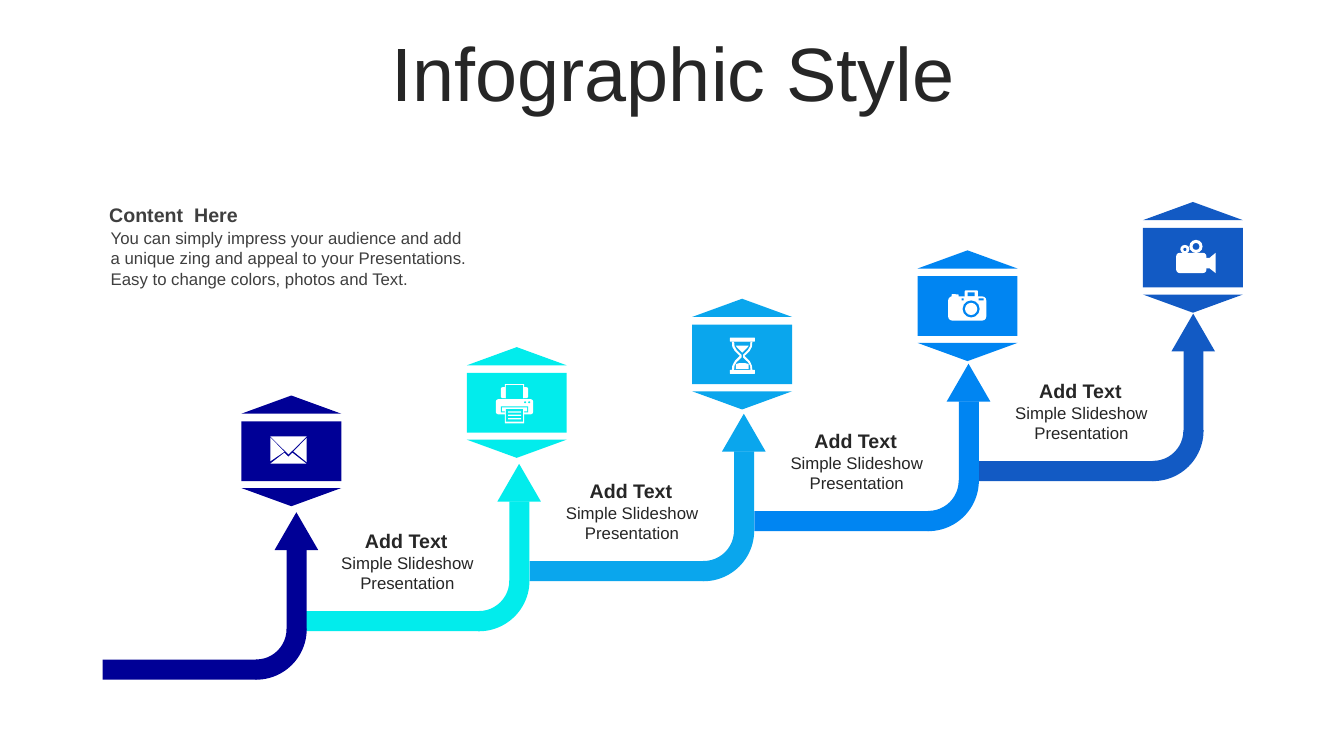
from dataclasses import dataclass

import pptx
import pptx.dml.color
import pptx.enum.shapes
import pptx.enum.text
import pptx.util

Pt = pptx.util.Pt
Preset = pptx.enum.shapes.MSO_SHAPE
Align = pptx.enum.text.PP_ALIGN
Anchor = pptx.enum.text.MSO_ANCHOR
RECT, ROUND, OVAL = Preset.RECTANGLE, Preset.ROUNDED_RECTANGLE, Preset.OVAL

FONT, WHITE, DARK, GREY = "Arial", "FFFFFF", "262626", "3F3F3F"


@dataclass
class Part:
    """A preset piece of an icon, placed from the badge centre."""
    preset: int
    x: float
    y: float
    width: float
    height: float
    hole: bool = False


@dataclass
class Outline:
    """A polygon piece of an icon, placed from the badge centre."""
    points: list[tuple[float, float]]
    hole: bool = False


@dataclass
class Step:
    """One stage of the staircase: its colour, icon and arrow."""
    color: str
    icon: list[Part | Outline]
    bend_left: float
    bend_top: float
    tail: float


ENVELOPE = [
    Outline([(-15, -10.5), (11, -10.5), (-2, 2.3)]),
    Outline([(-15, -9.8), (-5, 0.4), (-15, 7.2)]),
    Outline([(11, -9.5), (11, 7.9), (1.5, 0.2)]),
    Outline([(-2.1, 3.9), (0.8, 1.1), (10.8, 8.9), (-15, 8.9), (-5, 1.1)]),
]
PRINTER = [
    Part(ROUND, -11.3, -11.2, 19.5, 7.9),
    Part(RECT, -8.4, -13.4, 13.7, 10.1),
    Part(RECT, -7.7, -12.6, 12.2, 9.9, True),
    Part(ROUND, -14.9, -2.6, 26.7, 10.8),
    Part(RECT, -11.3, 2.5, 19.5, 4.3, True),
    Part(RECT, -10.5, 3.2, 18, 2.9),
    Part(RECT, -8.4, 4.6, 13.7, 10.1),
    Part(RECT, -7.7, 4.6, 12.2, 8.9, True),
    *[Part(RECT, -6.2, y, 9.4, 0.9) for y in (6.1, 8.5, 10.9)],
    *[Part(OVAL, x, -1.1, 1.4, 1.4, True) for x in (5.3, 8.2)],
]
HOURGLASS = [
    Outline([(-7.3, -9.1), (7.3, -9.1), (7, -5.5), (5.4, -2.4), (1.8, 1),
             (5.4, 4.6), (7, 8), (7.3, 11), (-7.3, 11), (-7, 8),
             (-5.2, 4.6), (-1.6, 1), (-5.2, -2.4), (-7, -5.5)]),
    Outline([(-5.7, -9.1), (5.9, -9.1), (5.6, -6), (4.1, -3.4), (0.5, 0.2),
             (0.5, 2.2), (4.1, 5.6), (5.6, 8), (5.9, 11), (-5.7, 11),
             (-5.4, 8), (-3.9, 5.6), (-0.3, 2.2), (-0.3, 0.2),
             (-3.9, -3.4), (-5.4, -6)], True),
    Outline([(-4.5, -6.2), (4.7, -6.2), (3.4, -4.5), (0.1, -1.2), (-3.2, -4.5)]),
    Outline([(-4.5, 6.9), (-2, 6.2), (2.2, 6.2), (4.7, 6.9), (4.7, 10.3), (-4.5, 10.3)]),
    *[Part(ROUND, -8.8, y, 18, 2.9) for y in (-12, 11)],
]
CAMERA = [
    Part(ROUND, -11.4, -8.4, 5, 3),
    Part(ROUND, -2, -11.2, 9.4, 5),
    Part(RECT, 0.1, -9.8, 5, 2.9, True),
    Part(ROUND, -13.8, -6.9, 27.2, 17.3),
    Part(RECT, -4.2, -5.5, 1.4, 1.4, True),
    Part(RECT, 8, -5.5, 3.6, 1.4, True),
    Part(OVAL, -3.5, -4, 12.2, 12.2, True),
    Part(OVAL, -1.8, -2.3, 8.8, 8.8),
]
VIDEO = [
    Part(OVAL, -9, -9.1, 6.5, 6.1),
    Part(OVAL, -6.8, -7, 2.2, 2.2, True),
    Part(OVAL, -2.5, -12.7, 9.4, 9.4),
    Part(OVAL, -0.2, -10.4, 4.8, 4.8, True),
    Part(ROUND, -11.9, -3.4, 21.6, 14.4),
    Outline([(9.5, 0.2), (11.9, 0.2), (16.2, -3.4), (16.2, 11), (11.9, 7.6), (9.5, 7.6)]),
]

BEND_X, BEND_Y, RISE_X, RISE_Y = 306, 378.7, 160.5, 35.75
LATER = [("02ECEC", PRINTER), ("0AA6ED", HOURGLASS), ("0085F2", CAMERA), ("125AC4", VIDEO)]
STEPS = [Step("000096", ENVELOPE, 146.9, 413.3, 110)] + [
    Step(color, icon, BEND_X + RISE_X * i, BEND_Y - RISE_Y * i, 124.6)
    for i, (color, icon) in enumerate(LATER)
]


def paint(shape, color: str) -> None:
    """Give a shape a flat fill with no line or shadow."""
    shape.shadow.inherit = False
    shape.fill.solid()
    shape.fill.fore_color.rgb = pptx.dml.color.RGBColor.from_string(color)
    shape.line.fill.background()


def add_preset(slide, preset: int, left: float, top: float,
               width: float, height: float, color: str):
    """Draw a flat preset shape."""
    shape = slide.shapes.add_shape(preset, Pt(left), Pt(top), Pt(width), Pt(height))
    paint(shape, color)
    return shape


def write(frame, text: str, size: float, color: str, align: int, bold: bool = False) -> None:
    """Fill a text frame with one formatted paragraph."""
    frame.text = text
    frame.word_wrap = True
    paragraph = frame.paragraphs[0]
    paragraph.alignment = align
    font = paragraph.runs[0].font
    font.name, font.size, font.bold = FONT, Pt(size), bold
    font.color.rgb = pptx.dml.color.RGBColor.from_string(color)


def add_text(slide, text: str, left: float, top: float, width: float, height: float,
             size: float, color: str, align: int, bold: bool = False) -> None:
    """Place a wrapped text box."""
    box = slide.shapes.add_textbox(Pt(left), Pt(top), Pt(width), Pt(height))
    write(box.text_frame, text, size, color, align, bold)


def add_icon(slide, icon: list[Part | Outline], x: float, y: float, color: str) -> None:
    """Draw an icon around a badge centre, with holes in the badge colour."""
    for piece in icon:
        fill = color if piece.hole else WHITE
        if isinstance(piece, Part):
            add_preset(slide, piece.preset, x + piece.x, y + piece.y,
                       piece.width, piece.height, fill)
        else:
            corners = [(Pt(x + dx), Pt(y + dy)) for dx, dy in piece.points]
            builder = slide.shapes.build_freeform(*corners[0])
            builder.add_line_segments(corners[1:])
            paint(builder.convert_to_shape(), fill)


def add_badge(slide, step: Step, left: float, top: float) -> None:
    """Draw a badge: a panel between two triangles, with its icon."""
    add_preset(slide, RECT, left, top, 71.4, 42.6, step.color)
    add_preset(slide, Preset.ISOSCELES_TRIANGLE, left, top - 18.5, 71.4, 13, step.color)
    lower = add_preset(slide, Preset.ISOSCELES_TRIANGLE, left, top + 47.6, 71.4, 13, step.color)
    lower.rotation = 180
    add_icon(slide, step.icon, left + 35.7, top + 21.3, step.color)


def add_arrow(slide, step: Step) -> None:
    """Draw an arrow that runs right, bends and points up."""
    left, top = step.bend_left, step.bend_top
    add_preset(slide, RECT, left + 36.4 - step.tail, top + 57.9, step.tail, 14.3, step.color)
    bend = add_preset(slide, Preset.BLOCK_ARC, left, top, 72.2, 72.2, step.color)
    bend.rotation = 90
    for i, value in enumerate((161.7, 0.5, 0.2)):
        bend.adjustments[i] = value
    add_preset(slide, RECT, left + 57.9, top - 20.6, 14.3, 57, step.color)
    add_preset(slide, Preset.ISOSCELES_TRIANGLE, left + 49.2, top - 47.4, 31.2, 27, step.color)


def main() -> None:
    """Build the slide and save it."""
    deck = pptx.Presentation()
    deck.slide_width, deck.slide_height = Pt(960), Pt(540)
    slide = deck.slides.add_slide(deck.slide_layouts[5])

    title = slide.shapes.title
    title.left, title.top, title.width, title.height = Pt(25.2), Pt(26.6), Pt(911.5), Pt(56.9)
    write(title.text_frame, "Infographic Style", 54, DARK, Align.CENTER)
    title.text_frame.vertical_anchor = Anchor.MIDDLE
    title.text_frame.paragraphs[0].line_spacing = 0.9

    for i, step in enumerate(STEPS):
        add_badge(slide, step, 172.4 + 161 * i, 301 - 34.56 * i)
    for step in reversed(STEPS):
        add_arrow(slide, step)
    for step in STEPS[1:]:
        left, top = step.bend_left - 83.5, step.bend_top - 4.6
        add_text(slide, "Add Text", left, top, 135.4, 24.5, 14, DARK, Align.CENTER, True)
        add_text(slide, "Simple Slideshow Presentation", left + 0.8, top + 17.2,
                 135.4, 36, 12, DARK, Align.CENTER)

    add_text(slide, "Content  Here", 70.9, 141.1, 271.4, 24.5, 14, GREY, Align.LEFT, True)
    add_text(slide, "You can simply impress your audience and add a unique zing and appeal "
             "to your Presentations. Easy to change colors, photos and Text.",
             72, 159.3, 270.7, 51.1, 12, GREY, Align.LEFT)
    deck.save("out.pptx")


main()
